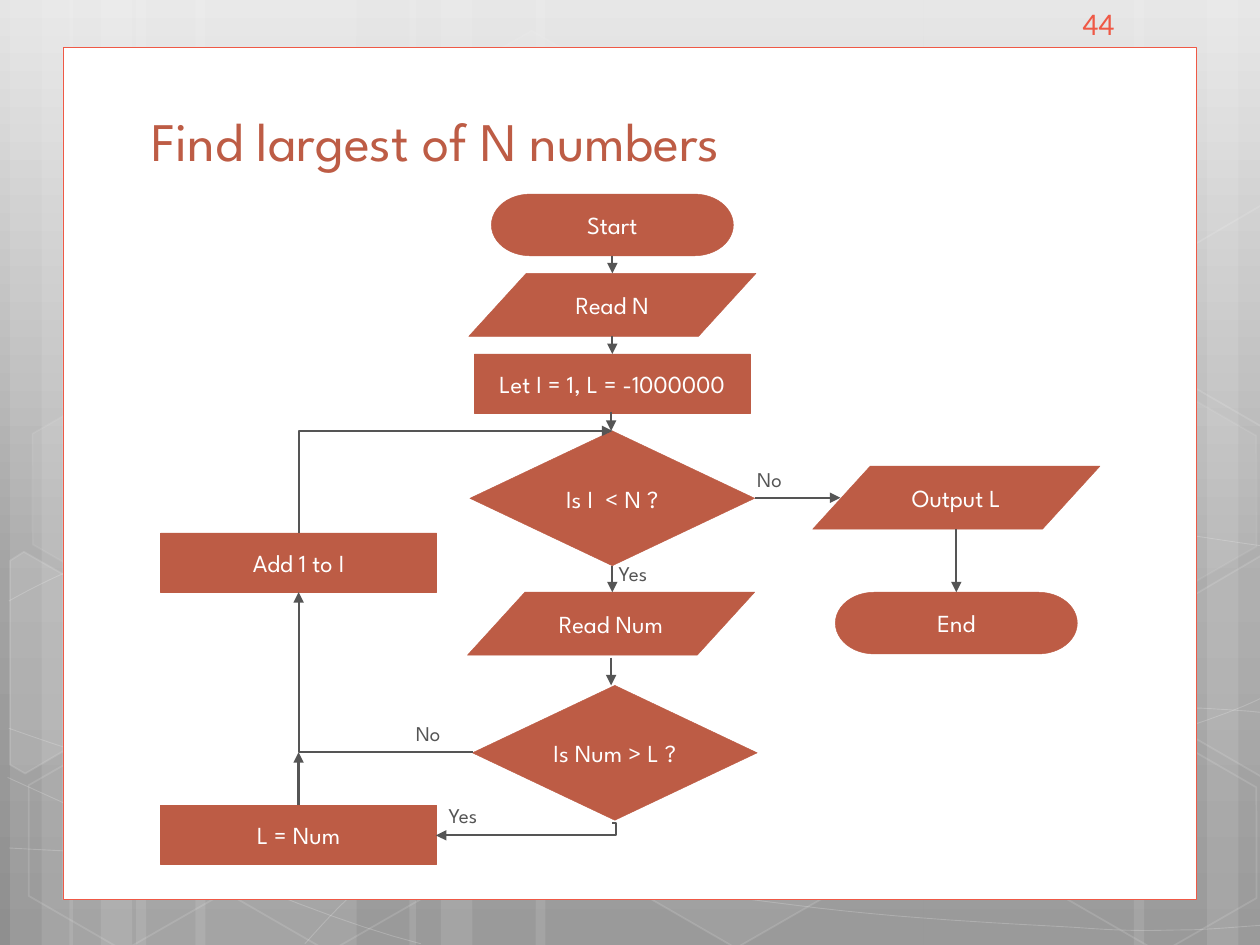
from dataclasses import dataclass

from lxml import etree
from pptx import Presentation
from pptx.dml.color import RGBColor
from pptx.enum.shapes import MSO_CONNECTOR, MSO_SHAPE
from pptx.enum.text import MSO_ANCHOR, MSO_AUTO_SIZE, PP_ALIGN
from pptx.oxml.ns import qn
from pptx.util import Inches, Pt

RECT, HEXAGON = MSO_SHAPE.RECTANGLE, MSO_SHAPE.HEXAGON
STRAIGHT = MSO_CONNECTOR.STRAIGHT
TOP, MIDDLE, BOTTOM = MSO_ANCHOR.TOP, MSO_ANCHOR.MIDDLE, MSO_ANCHOR.BOTTOM
LEFT, CENTER = PP_ALIGN.LEFT, PP_ALIGN.CENTER


@dataclass(frozen=True)
class Theme:
    font: str = "League Spartan"
    plain: str = "Calibri"
    white: str = "FFFFFF"
    rust: str = "BD5C45"
    red: str = "EF5946"
    gray: str = "555555"
    sky: tuple = ((0, "E5E5E5"), (62, "A3A3A3"), (100, "8F8F8F"))
    title: int = 31
    page: int = 18
    node: int = 14
    label: int = 12


THEME = Theme()

# Backdrop: (left, width) of the bands
BANDS = [(1.08, 1.75), (0.08, 0.5), (0.33, 0.83), (1.55, 1.75), (0.55, 0.5),
         (0.8, 0.83), (7.33, 1.75), (9.58, 0.5), (9, 0.83), (4.25, 3.08),
         (3.25, 0.5), (3.5, 0.83)]
# Start point, then two handles and an end for each Bezier piece
CURVES = [
    [(0.07, 6.73), (0.61, 6.76), (1.15, 6.79), (1.9, 6.78), (2.65, 6.77),
     (3.58, 6.75), (4.58, 6.65), (5.58, 6.55), (7, 6.36), (7.92, 6.17),
     (8.83, 5.98), (9.77, 5.68), (10.07, 5.51)],
    [(0.07, 4.77), (0.36, 4.61), (0.65, 4.46), (1.21, 4.31), (1.78, 4.16),
     (2.59, 3.94), (3.47, 3.87), (4.36, 3.8), (5.44, 3.79), (6.54, 3.87),
     (7.64, 3.95), (9.47, 4.26), (10.07, 4.34)],
    [(0.06, 6.17), (1.27, 6.72), (2.47, 7.27), (3.34, 7.49)],
    [(0.07, 5.78), (0.38, 5.89), (0.7, 6), (1.28, 6.16), (1.86, 6.31),
     (2.73, 6.56), (3.57, 6.73), (4.4, 6.9), (5.45, 7.08), (6.28, 7.18),
     (7.11, 7.29), (8, 7.33), (8.53, 7.36), (9.05, 7.4), (9.19, 7.38),
     (9.45, 7.38), (9.71, 7.37), (9.89, 7.35), (10.07, 7.34)],
    [(2.42, 7.49), (2.6, 7.29), (2.78, 7.09), (3.02, 6.91), (3.26, 6.73),
     (3.6, 6.53), (3.88, 6.39), (4.16, 6.25), (4.33, 6.19), (4.7, 6.09),
     (5.06, 5.99), (5.73, 5.85), (6.08, 5.78), (6.44, 5.71), (6.49, 5.71),
     (6.8, 5.69), (7.11, 5.66), (7.6, 5.63), (7.94, 5.62), (8.29, 5.61),
     (8.86, 5.62), (8.86, 5.62), (9.08, 5.62), (9.31, 5.62), (9.53, 5.62),
     (9.71, 5.63), (9.88, 5.64), (9.97, 5.65), (10.06, 5.66), (10.03, 5.65),
     (10.06, 5.66)],
]
# (left, top, fill opacity, line opacity)
CELLS = [(3.34, 0.36, 4, 8), (4.97, 5.89, 6, 12), (0.11, 5.91, 0, 12),
         (0.14, 3.12, 7, 8), (1.74, 5.92, 0, 12), (7.53, 4.53, 10, 12),
         (8.34, 5.93, 0, 12), (8.34, 3.14, 7, 8)]
# Cells cut off by the slide edge: (points, fill opacity)
CUT = [([(0.08, 4.45), (0.19, 4.38), (0.96, 4.82), (0.95, 5.7), (0.2, 6.14),
         (0.08, 6.07)], 10),
       ([(9.26, 4.85), (10.01, 4.41), (10.09, 4.46), (10.09, 6.13),
         (10.02, 6.17), (9.26, 5.73)], 4),
       ([(9.26, 2.07), (10.01, 1.63), (10.1, 1.68), (10.09, 3.35),
         (10.02, 3.39), (9.26, 2.95)], 0)]

# Flow chart: preset, width and height of each kind, then column centres
KINDS = {"term": (MSO_SHAPE.FLOWCHART_TERMINATOR, 1.92, 0.49),
         "data": (MSO_SHAPE.FLOWCHART_DATA, 2.28, 0.5),
         "step": (RECT, 2.19, 0.47),
         "test": (MSO_SHAPE.FLOWCHART_DECISION, 2.26, 1.07)}
COL1, COL2, COL3 = 1.09, 3.58, 6.31
NODES = [("Start", "term", COL2, 0), ("Read N", "data", COL2, 0.63),
         ("Let I = 1, L = -1000000", "step", COL2, 1.27),
         ("Is I  < N ?", "test", COL2, 1.88), ("Output L", "data", COL3, 2.16),
         ("End", "term", COL3, 3.16), ("Add 1 to I", "step", COL1, 2.69),
         ("Read Num", "data", COL2 - 0.01, 3.16),
         ("Is Num > L ?", "test", COL2 + 0.02, 3.9),
         ("L = Num", "step", COL1, 4.85)]
DROPS = [(COL2, 0.49, 0.63), (COL2, 1.13, 1.27), (COL2 - 0.01, 1.73, 1.88),
         (COL2, 2.95, 3.16), (COL2 - 0.01, 3.68, 3.9), (COL3, 2.66, 3.16),
         (COL1, 4.85, 4.43)]
LINKS = [[(x, a), (x, b)] for x, a, b in DROPS] + [
    [(4.71, 2.41), (5.39, 2.41)],
    [(COL2, 4.99), (3.61, 4.99), (3.61, 5.09), (2.18, 5.09)],
    [(2.47, 4.43), (COL1, 4.43), (COL1, 3.16)],
    [(COL1, 2.69), (COL1, 1.88), (COL2, 1.88)]]
LABELS = [("Yes", 3.58, 2.86), ("Yes", 2.23, 4.78),
          ("No", 4.68, 2.11), ("No", 1.97, 4.13)]


def put(item, **values):
    for name, value in values.items():
        setattr(item, name, value)


def tint(fill, color, part, alpha):
    """Fill with a colour; part is the XML element that holds the fill."""
    fill.solid()
    fill.fore_color.rgb = RGBColor.from_string(color)
    if alpha < 100:
        clr = part.find(qn("a:solidFill"))[0]
        etree.SubElement(clr, qn("a:alpha"), val=str(alpha * 1000))


def paint(shape, fill=None, alpha=100, line=None, width=1, fade=100):
    props = shape._element.spPr
    shape.shadow.inherit = False
    if fill and alpha:
        tint(shape.fill, fill, props, alpha)
    else:
        shape.fill.background()
    if line:
        shape.line.width = Pt(width)
        tint(shape.line.fill, line, props.find(qn("a:ln")), fade)
    else:
        shape.line.fill.background()


def write(shape, text, size, color, font=THEME.font, align=LEFT, anchor=TOP,
          wrap=True):
    frame, gap = shape.text_frame, Inches(0.05)
    put(frame, text=text, word_wrap=wrap, vertical_anchor=anchor,
        auto_size=MSO_AUTO_SIZE.NONE, margin_left=gap, margin_right=gap,
        margin_top=gap, margin_bottom=gap)
    para = frame.paragraphs[0]
    para.alignment = align
    put(para.runs[0].font, size=Pt(size), name=font)
    para.runs[0].font.color.rgb = RGBColor.from_string(color)


def trace(slide, box, points, close=False):
    """Draw straight pieces through points measured from the box corner."""
    spots = [(Inches(box[0] + x), Inches(box[1] + y)) for x, y in points]
    pen = slide.shapes.build_freeform(*spots[0])
    pen.add_line_segments(spots[1:], close=close)
    return pen.convert_to_shape()


def place(slide, box, kind, x, y, w, h):
    return slide.shapes.add_shape(kind, Inches(box[0] + x), Inches(box[1] + y),
                                  Inches(w), Inches(h))


def smooth(knots, steps=12):
    """Sample a chain of cubic Bezier pieces."""
    points = [knots[0]]
    for i in range(0, len(knots) - 1, 3):
        for t in (n / steps for n in range(1, steps + 1)):
            mix = ((1 - t) ** 3, 3 * t * (1 - t) ** 2, 3 * t * t * (1 - t), t ** 3)
            points.append(tuple(sum(m * k[axis] for m, k in zip(mix, knots[i:i + 4]))
                                for axis in (0, 1)))
    return points


def backdrop(slide, box):
    fill = slide.background.fill
    fill.gradient()
    fill.gradient_angle = 270
    stops = next(slide._element.iter(qn("a:gsLst")))
    for stop in list(stops):
        stops.remove(stop)
    for pos, color in THEME.sky:
        stop = etree.SubElement(stops, qn("a:gs"), pos=str(pos * 1000))
        etree.SubElement(stop, qn("a:srgbClr"), val=color)

    white = THEME.white
    for x, w in BANDS:
        paint(place(slide, box, RECT, x, 0, w, box[3]), white, 10)
    for knots in CURVES:
        paint(trace(slide, box, smooth(knots)), line=white, width=0.5, fade=20)
    for x, y, alpha, fade in CELLS:
        cell = place(slide, box, HEXAGON, x, y, 1.75, 1.52)
        cell.adjustments[0] = 0.29
        cell.rotation = 30
        paint(cell, white, alpha, white, 1, fade)
    for points, alpha in CUT:
        paint(trace(slide, box, points, True), white, alpha, white, 1, 12)
    paint(place(slide, box, RECT, 0.5, 0.38, 9, 6.76), white, line=THEME.red, width=0.5)


def label(slide, box, text, size, color, **style):
    area = slide.shapes.add_textbox(*map(Inches, box))
    write(area, text, size, color, **style)


def heading(slide, box):
    title = slide.shapes.title
    left, top, width, height = map(Inches, box)
    put(title, left=left, top=top, width=width, height=height)
    write(title, "Find largest of N numbers", THEME.title, THEME.rust, anchor=BOTTOM)
    slide.shapes._spTree.append(title._element)  # bring in front of the panel


def link(slide, box, points):
    if len(points) == 2:
        ends = [Inches(box[i] + spot[i]) for spot in points for i in (0, 1)]
        line = slide.shapes.add_connector(STRAIGHT, *ends)
        line.line.width = Pt(1.25)
        line.line.color.rgb = RGBColor.from_string(THEME.gray)
        etree.SubElement(line._element.spPr, qn("a:effectLst"))
    else:
        line = trace(slide, box, points)
        paint(line, line=THEME.gray, width=1.25)
    stroke = line._element.spPr.find(qn("a:ln"))
    etree.SubElement(stroke, qn("a:tailEnd"), type="triangle")


def flow(slide, box):
    for text, kind, mid, top in NODES:
        preset, w, h = KINDS[kind]
        node = place(slide, box, preset, mid - w / 2, top, w, h)
        paint(node, THEME.rust, line=THEME.rust, width=0.25)
        write(node, text, THEME.node, THEME.white, align=CENTER, anchor=MIDDLE, wrap=False)
    for points in LINKS:
        link(slide, box, points)
    for text, x, y in LABELS:
        label(slide, (box[0] + x, box[1] + y, 0.52, 0.31), text, THEME.label, THEME.gray)


def main():
    deck = Presentation()
    put(deck, slide_width=Inches(10), slide_height=Inches(7.5))
    slide = deck.slides.add_slide(deck.slide_layouts[5])
    backdrop(slide, (0, 0, 10, 7.5))
    heading(slide, (1.15, 0.79, 7.85, 0.63))
    label(slide, (8.54, -0.02, 0.39, 0.41), "44", THEME.page, THEME.red,
          font=THEME.plain, wrap=False)
    flow(slide, (1.28, 1.54, 7.44, 5.32))
    deck.save("out.pptx")


if __name__ == "__main__":
    main()
